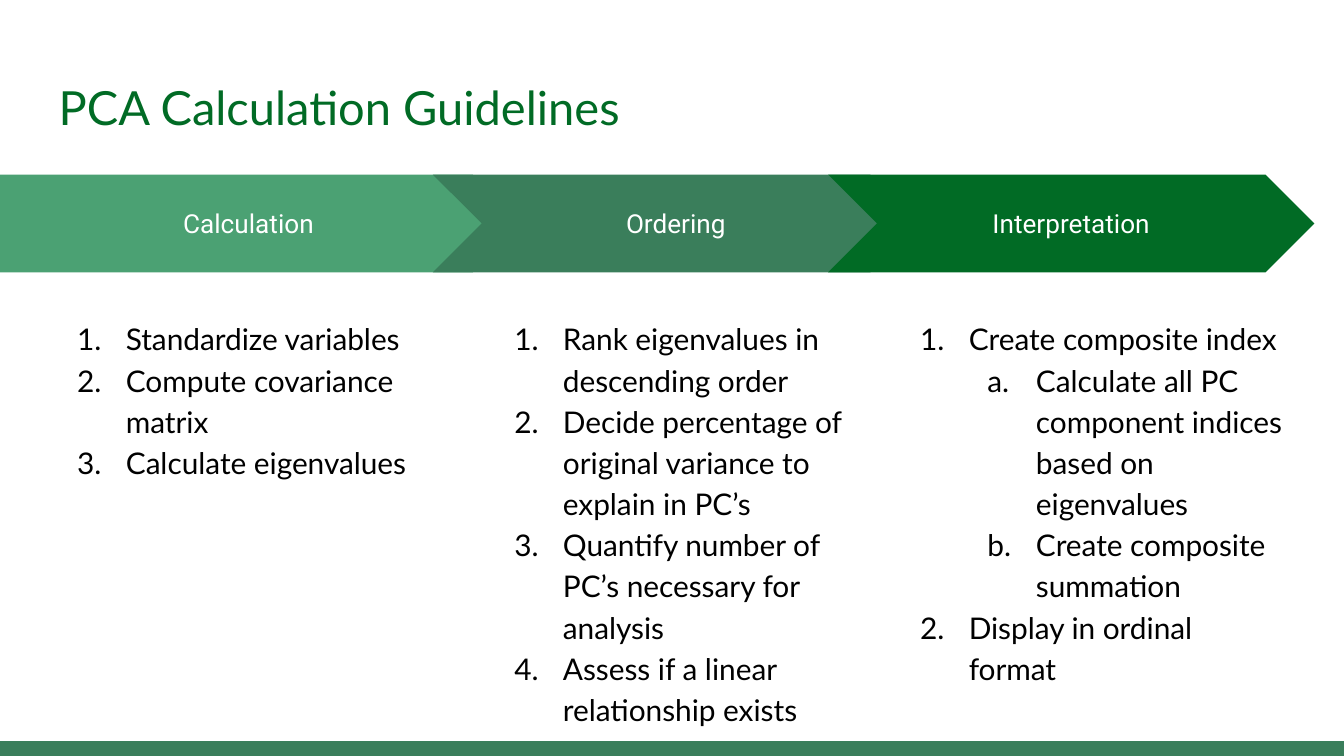
import pptx
import pptx.dml.color
import pptx.enum.shapes
import pptx.enum.text
import pptx.oxml.ns
import pptx.util
from lxml import etree

Cm = pptx.util.Cm
Pt = pptx.util.Pt
SHAPE = pptx.enum.shapes.MSO_SHAPE
ALIGN = pptx.enum.text.PP_ALIGN
ANCHOR = pptx.enum.text.MSO_ANCHOR

TITLE = "PCA Calculation Guidelines"
DARK, MEDIUM, LIGHT = "016B25", "3A7E5B", "4BA173"
WHITE, BLACK = "FFFFFF", "000000"

# Steps are (list level, wording); positions are (left, width) in cm.
STAGES = [
    {"name": "Calculation", "color": LIGHT, "outline": SHAPE.PENTAGON,
     "arrow": (0, 9.86), "list": (0.86, 7.59),
     "steps": [(0, "Standardize variables"),
               (0, "Compute covariance matrix"),
               (0, "Calculate eigenvalues")]},
    {"name": "Ordering", "color": MEDIUM, "outline": SHAPE.CHEVRON,
     "arrow": (8.18, 9.19), "list": (9.12, 7.65),
     "steps": [(0, "Rank eigenvalues in descending order"),
               (0, "Decide percentage of original variance to explain in PC’s"),
               (0, "Quantify number of PC’s necessary for analysis"),
               (0, "Assess if a linear relationship exists")]},
    {"name": "Interpretation", "color": DARK, "outline": SHAPE.CHEVRON,
     "arrow": (15.65, 9.19), "list": (16.79, 7.75),
     "steps": [(0, "Create composite index"),
               (1, "Calculate all PC component indices based on eigenvalues"),
               (1, "Create composite summation"),
               (0, "Display in ordinal format")]},
]
NUMBERING = ["arabicPeriod", "alphaLcPeriod"]
SLIDE_WIDTH, SLIDE_HEIGHT = 25.4, 14.29
FOOTER_HEIGHT = 0.28
ARROW_TOP, ARROW_HEIGHT = 3.3, 1.85
LIST_TOP, LIST_HEIGHT = 5.72, 7.26
INDENT, HANGING = 1.27, 0.92
INSET = 0.25


def rgb(color):
    return pptx.dml.color.RGBColor.from_string(color)


def add_block(slide, outline, color, left, top, width, height):
    block = slide.shapes.add_shape(outline, Cm(left), Cm(top), Cm(width), Cm(height))
    block.shadow.inherit = False
    block.fill.solid()
    block.fill.fore_color.rgb = rgb(color)
    block.line.fill.background()
    return block


def add_text_box(slide, left, top, width, height):
    return slide.shapes.add_textbox(Cm(left), Cm(top), Cm(width), Cm(height))


def prepare_frame(shape, anchor):
    frame = shape.text_frame
    frame.word_wrap = True
    frame.vertical_anchor = anchor
    frame.margin_left = frame.margin_right = Cm(INSET)
    frame.margin_top = frame.margin_bottom = Cm(INSET)
    return frame


def add_run(paragraph, wording, font, size, color):
    run = paragraph.add_run()
    run.text = wording
    run.font.name = font
    run.font.size = Pt(size)
    run.font.color.rgb = rgb(color)


def number_paragraph(paragraph, level):
    """Give the paragraph a hanging indent and automatic numbering."""
    paragraph.level = level
    properties = paragraph._p.get_or_add_pPr()
    properties.set("marL", str(Cm(INDENT * (level + 1))))
    properties.set("indent", str(-Cm(HANGING)))
    qn = pptx.oxml.ns.qn
    bullet_color = etree.SubElement(properties, qn("a:buClr"))
    etree.SubElement(bullet_color, qn("a:srgbClr"), val=BLACK)
    etree.SubElement(properties, qn("a:buFont"), typeface="Lato")
    etree.SubElement(properties, qn("a:buAutoNum"), type=NUMBERING[level])


def add_stage(slide, stage):
    left, width = stage["arrow"]
    arrow = add_block(slide, stage["outline"], stage["color"],
                      left, ARROW_TOP, width, ARROW_HEIGHT)
    arrow.adjustments[0] = 0.5
    label = prepare_frame(arrow, ANCHOR.MIDDLE).paragraphs[0]
    label.alignment = ALIGN.CENTER
    add_run(label, stage["name"], "Roboto", 14, WHITE)

    left, width = stage["list"]
    steps = prepare_frame(add_text_box(slide, left, LIST_TOP, width, LIST_HEIGHT),
                          ANCHOR.TOP)
    for index, (level, wording) in enumerate(stage["steps"]):
        step = steps.add_paragraph() if index else steps.paragraphs[0]
        step.line_spacing = 1.15
        number_paragraph(step, level)
        add_run(step, wording, "Lato", 16, BLACK)


def main():
    deck = pptx.Presentation()
    deck.slide_width, deck.slide_height = Cm(SLIDE_WIDTH), Cm(SLIDE_HEIGHT)
    slide = deck.slides.add_slide(deck.slide_layouts[6])

    add_block(slide, SHAPE.RECTANGLE, MEDIUM,
              0, SLIDE_HEIGHT - FOOTER_HEIGHT, SLIDE_WIDTH, FOOTER_HEIGHT)
    title = prepare_frame(add_text_box(slide, 0.86, 1.24, 23.67, 1.6), ANCHOR.TOP)
    add_run(title.paragraphs[0], TITLE, "Lato", 25.2, DARK)
    for stage in STAGES:
        add_stage(slide, stage)
    deck.save("out.pptx")


if __name__ == "__main__":
    main()
